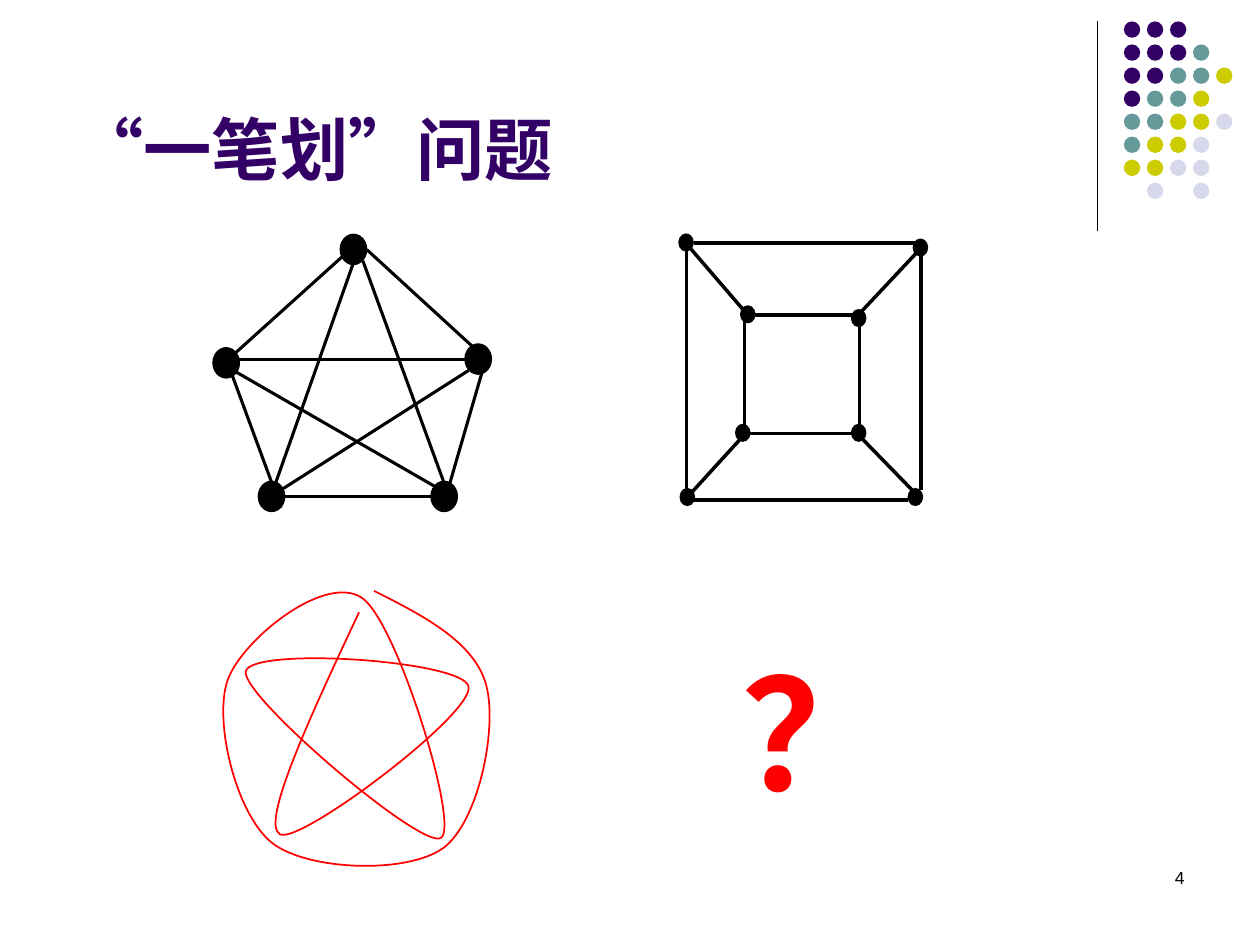
from lxml.etree import SubElement
from pptx import Presentation
from pptx.dml.color import RGBColor
from pptx.enum.lang import MSO_LANGUAGE_ID
from pptx.enum.shapes import MSO_CONNECTOR, MSO_SHAPE
from pptx.enum.text import MSO_ANCHOR, PP_ALIGN
from pptx.oxml.ns import qn
from pptx.util import Inches, Pt

HUES = {"ink": "000000", "plum": "330066", "teal": "669999",
        "lime": "CCCC00", "mist": "D8D8EC", "red": "FF0000"}
KEYS = {"p": "plum", "t": "teal", "l": "lime", "m": "mist"}
DOTS = ["ppp", "pppt", "ppttl", "pttl", "ttllm", "tllm", "llmm", " m m"]

STAR_NODES = [(2.7, 1.86), (1.69, 2.76), (3.69, 2.73), (2.05, 3.82), (3.42, 3.82)]
STAR_EDGES = [
    (2.15, 3.94, 3.72, 2.94), (2.26, 3.94, 3.42, 3.94),
    (1.87, 2.8, 2.88, 1.89), (2.91, 1.98, 3.75, 2.75),
    (3.54, 3.94, 3.83, 2.94), (1.84, 2.97, 2.23, 4.03),
    (1.88, 2.85, 3.9, 2.85), (2.15, 3.94, 2.8, 2.1),
    (2.88, 2.07, 3.52, 3.82), (1.87, 2.95, 3.45, 3.86)]
CUBE_NODES = [(5.39, 1.86), (5.4, 3.88), (7.21, 3.88), (7.25, 1.9),
              (5.88, 2.43), (6.76, 2.46), (5.84, 3.37), (6.76, 3.37)]
CUBE_EDGES = [
    (5.51, 1.93, 7.29, 1.93), (5.49, 3.97, 7.21, 3.97),
    (5.45, 1.98, 5.45, 3.91), (7.31, 2.01, 7.31, 3.89),
    (5.99, 2.5, 6.77, 2.5), (5.95, 3.44, 6.76, 3.44),
    (5.91, 2.54, 5.91, 3.38), (6.82, 2.56, 6.82, 3.4),
    (5.47, 1.96, 5.9, 2.46), (5.88, 3.48, 5.47, 3.93),
    (6.84, 2.47, 7.29, 1.99), (6.85, 3.49, 7.24, 3.89)]
START = (2.85, 4.86)
CURVES = [
    (2.46, 5.69), (2.07, 6.53), (2.22, 6.62),
    (2.36, 6.72), (3.76, 5.67), (3.72, 5.45),
    (3.68, 5.24), (1.99, 5.13), (1.95, 5.33),
    (1.92, 5.53), (3.35, 6.75), (3.5, 6.65),
    (3.65, 6.56), (3.16, 4.96), (2.88, 4.75),
    (2.59, 4.54), (1.93, 5.07), (1.81, 5.39),
    (1.69, 5.71), (1.87, 6.46), (2.16, 6.69),
    (2.44, 6.91), (3.23, 6.94), (3.52, 6.73),
    (3.8, 6.52), (3.95, 5.78), (3.86, 5.44),
    (3.77, 5.1), (3.37, 4.89), (2.97, 4.69)]


def tint(name):
    return RGBColor.from_string(HUES[name])


def add_dot(shapes, kind, left, top, wide, high, hue, width=0):
    dot = shapes.add_shape(
        kind, Inches(left), Inches(top), Inches(wide), Inches(high))
    dot.shadow.inherit = False
    dot.fill.solid()
    dot.fill.fore_color.rgb = tint(hue)
    if width:
        dot.line.color.rgb = tint(hue)
        dot.line.width = Pt(width)
    else:
        dot.line.fill.background()


def add_line(shapes, ends, width):
    line = shapes.add_connector(
        MSO_CONNECTOR.STRAIGHT, *[Inches(end) for end in ends])
    line.line.color.rgb = tint("ink")
    line.line.width = Pt(width)
    SubElement(line._element.spPr, qn("a:effectLst"))


def add_text(shapes, text, box, size, face, hue, bold=False,
             anchor=MSO_ANCHOR.TOP, align=PP_ALIGN.LEFT):
    frame = shapes.add_textbox(*[Inches(side) for side in box]).text_frame
    frame.word_wrap = True
    frame.vertical_anchor = anchor
    frame.text = text
    para = frame.paragraphs[0]
    para.alignment = align
    font = para.runs[0].font
    font.name = face
    font.size = Pt(size)
    font.bold = bold
    font.color.rgb = tint(hue)
    font.language_id = MSO_LANGUAGE_ID.SIMPLIFIED_CHINESE


def add_graph(shapes, kind, nodes, size, rim, edges, width):
    for left, top in nodes:
        add_dot(shapes, kind, left, top, *size, "ink", rim)
    for ends in edges:
        add_line(shapes, ends, width)


def add_stroke(shapes, start, points):
    pen = shapes.build_freeform(Inches(start[0]), Inches(start[1]))
    pen.add_line_segments([(Inches(x), Inches(y)) for x, y in points], close=False)
    stroke = pen.convert_to_shape()
    trace = next(stroke._element.iter(qn("a:path")))
    legs = trace.findall(qn("a:lnTo"))
    for first in range(0, len(legs), 3):
        curve = SubElement(trace, qn("a:cubicBezTo"))
        for leg in legs[first:first + 3]:
            curve.append(leg[0])
            trace.remove(leg)
    stroke.shadow.inherit = False
    stroke.fill.background()
    stroke.line.color.rgb = tint("red")
    stroke.line.width = Pt(1)


def add_motif(shapes):
    add_line(shapes, (8.71, 0.17, 8.71, 1.83), 0.75)
    group = shapes.add_group_shape().shapes
    pitch = 1.28 / 7
    for row, marks in enumerate(DOTS):
        for col, mark in enumerate(marks):
            if mark in KEYS:
                add_dot(group, MSO_SHAPE.OVAL, 8.92 + col * pitch,
                        0.17 + row * pitch, 0.13, 0.13, KEYS[mark])


def main():
    deck = Presentation()
    deck.slide_width, deck.slide_height = Inches(10), Inches(7.5)
    shapes = deck.slides.add_slide(deck.slide_layouts[6]).shapes
    add_motif(shapes)
    add_text(shapes, "“一笔划”问题", (0.5, 0.13, 8.25, 1.42), 39, "Arial",
             "plum", True, MSO_ANCHOR.BOTTOM)
    add_stroke(shapes, START, CURVES)
    star = shapes.add_group_shape().shapes
    add_graph(star, MSO_SHAPE.FLOWCHART_CONNECTOR, STAR_NODES, (0.21, 0.24),
              0.75, STAR_EDGES, 1.75)
    cube = shapes.add_group_shape().shapes
    add_text(cube, "？", (5.79, 5.01, 1.58, 1.57), 88, "Times New Roman",
             "red", True, MSO_ANCHOR.MIDDLE)
    add_graph(cube, MSO_SHAPE.OVAL, CUBE_NODES, (0.11, 0.13), 1, CUBE_EDGES, 2)
    add_text(shapes, "4", (7.17, 6.83, 2.33, 0.5), 10, "Arial", "ink",
             align=PP_ALIGN.RIGHT)
    deck.save("out.pptx")


if __name__ == "__main__":
    main()
